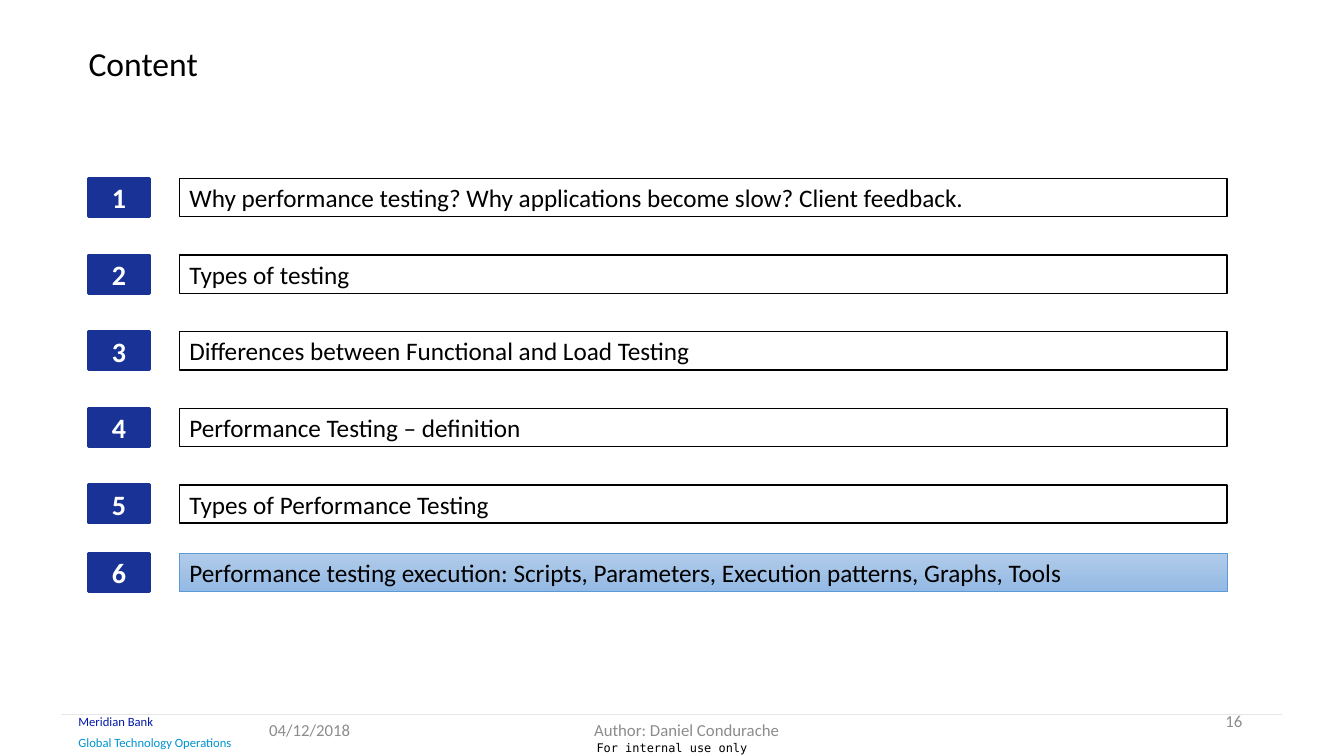
from pptx import Presentation
from pptx.dml.color import RGBColor
from pptx.enum.shapes import MSO_CONNECTOR, MSO_SHAPE
from pptx.enum.text import MSO_ANCHOR, PP_ALIGN
from pptx.oxml.ns import qn
from pptx.util import Inches, Pt
from lxml import etree

BLACK = RGBColor(0x00, 0x00, 0x00)
WHITE = RGBColor(0xFF, 0xFF, 0xFF)
NAVY = RGBColor(0x19, 0x32, 0x96)
BRAND_BLUE = RGBColor(0x00, 0x18, 0xA8)
BRAND_CYAN = RGBColor(0x00, 0x92, 0xD0)
GREY = RGBColor(0x8C, 0x8C, 0x8C)
RULE_GREY = RGBColor(0xE7, 0xE6, 0xE6)
HIGHLIGHT_TOP = RGBColor(0xB1, 0xCB, 0xE9)
HIGHLIGHT_BOTTOM = RGBColor(0x93, 0xB9, 0xE4)
HIGHLIGHT_LINE = RGBColor(0x5B, 0x9B, 0xD5)

LEFT, CENTER, RIGHT = PP_ALIGN.LEFT, PP_ALIGN.CENTER, PP_ALIGN.RIGHT

prs = Presentation()
prs.slide_width, prs.slide_height = Inches(13.33), Inches(7.5)
slide = prs.slides.add_slide(prs.slide_layouts[6])
shapes = slide.shapes


def write(shape, text, size, color, align=LEFT, font="Calibri", bold=False):
    """Put one vertically centred line of text in a shape."""
    frame = shape.text_frame
    frame.word_wrap = True
    frame.vertical_anchor = MSO_ANCHOR.MIDDLE
    paragraph = frame.paragraphs[0]
    paragraph.alignment = align
    run = paragraph.add_run()
    run.text = text
    run.font.name, run.font.size, run.font.bold = font, Pt(size), bold
    run.font.color.rgb = color


def add_bar(left, top, width, fill, line, line_width):
    """Add a flat agenda rectangle."""
    bar = shapes.add_shape(MSO_SHAPE.RECTANGLE, Inches(left), Inches(top),
                           Inches(width), Inches(0.38))
    bar.shadow.inherit = False
    bar.fill.solid()
    bar.fill.fore_color.rgb = fill
    bar.line.color.rgb = line
    bar.line.width = Pt(line_width)
    return bar


# Title
title = shapes.add_textbox(Inches(0.78), Inches(0.42), Inches(9.25), Inches(0.59))
write(title, "Content", 24, BLACK)
title.text_frame.vertical_anchor = MSO_ANCHOR.TOP
title.text_frame.paragraphs[0].line_spacing = 0.9

# Agenda: the last topic is the current one and sits a little closer
topics = [
    "Why performance testing? Why applications become slow? Client feedback.",
    "Types of testing",
    "Differences between Functional and Load Testing",
    "Performance Testing – definition",
    "Types of Performance Testing",
    "Performance testing execution: Scripts, Parameters, Execution patterns, Graphs, Tools",
]
for number, topic in enumerate(topics, start=1):
    current = number == len(topics)
    top = 5.49 if current else 1.77 + 0.76 * (number - 1)
    badge = add_bar(0.88, top, 0.6, NAVY, NAVY, 2)
    write(badge, str(number), 20, WHITE, CENTER, bold=True)
    bar = add_bar(1.78, top, 10.39, WHITE, BLACK, 1)
    write(bar, topic, 18, BLACK)
    if current:
        bar.fill.gradient()
        bar.fill.gradient_angle = 270
        stops = bar.fill.gradient_stops
        for stop, color in zip(stops, (HIGHLIGHT_TOP, HIGHLIGHT_BOTTOM)):
            stop.color.rgb = color
        stops[0].position, stops[1].position = 0, 1
        bar.line.color.rgb = HIGHLIGHT_LINE
        bar.line.width = Pt(0.5)

# Footer
rule = shapes.add_connector(MSO_CONNECTOR.STRAIGHT, Inches(0.61), Inches(7.09),
                            Inches(12.72), Inches(7.09))
rule.line.color.rgb = RULE_GREY
rule.line.width = Pt(0.75)
etree.SubElement(rule._element.spPr, qn("a:effectLst"))

footers = [
    ("Meridian Bank", 0.68, 7.03, 1.4, 0.25, 9, BRAND_BLUE, LEFT, "Calibri"),
    ("Global Technology Operations", 0.68, 7.24, 2, 0.25, 9, BRAND_CYAN, LEFT, "Calibri"),
    ("04/12/2018", 2.57, 7.04, 1.39, 0.4, 12, GREY, LEFT, "Calibri"),
    ("Author: Daniel Condurache ", 4.58, 7.04, 4.5, 0.4, 12, GREY, CENTER, "Calibri"),
    ("16", 9.42, 6.95, 3, 0.4, 12, GREY, RIGHT, "Calibri"),
    ("For internal use only", 0, 7.29, 13.33, 0.25, 8.5, BLACK, CENTER, "DejaVu Sans Mono"),
]
for text, left, top, width, height, size, color, align, font in footers:
    box = shapes.add_textbox(Inches(left), Inches(top), Inches(width), Inches(height))
    write(box, text, size, color, align, font)

prs.save("out.pptx")
